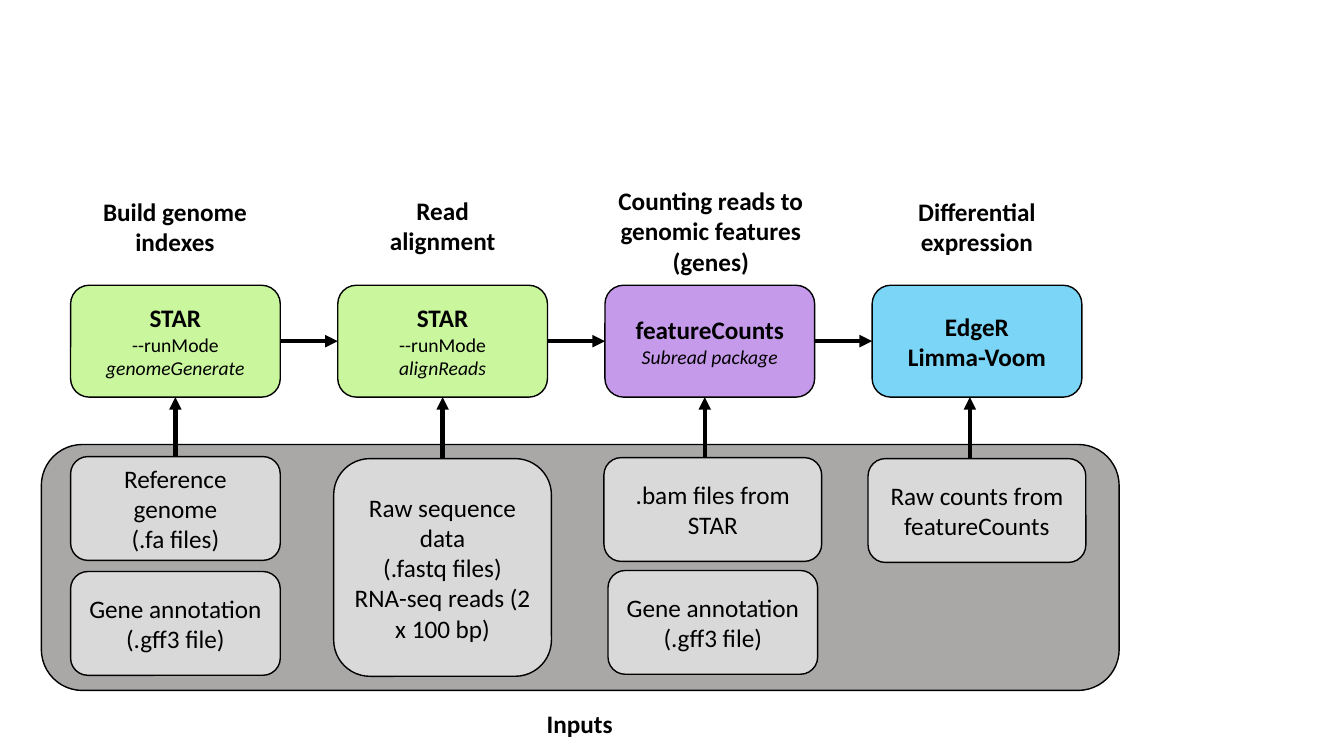
from pptx import Presentation
from pptx.dml.color import RGBColor
from pptx.enum.shapes import MSO_CONNECTOR, MSO_SHAPE
from pptx.enum.text import MSO_ANCHOR, PP_ALIGN
from pptx.oxml.ns import qn
from pptx.util import Inches, Pt
from lxml import etree

ROUNDED, STRAIGHT = MSO_SHAPE.ROUNDED_RECTANGLE, MSO_CONNECTOR.STRAIGHT
CENTER, MIDDLE, TOP = PP_ALIGN.CENTER, MSO_ANCHOR.MIDDLE, MSO_ANCHOR.TOP
SIDE_TOP, SIDE_LEFT, SIDE_BOTTOM, SIDE_RIGHT = range(4)

# Content: a paragraph is a list of (text, style) spans
ANNOTATION = [[("Gene annotation", "body")], [("(.gff3 file)", "body")]]
STAGES = [
    {"heading": "Build genome indexes", "heading_at": (0.69, 1.9, 2.09, 1.01),
     "tool": [[("STAR", "strong")],
              [("--runMode ", "small"), ("genomeGenerate", "small_italic")]],
     "color": "align", "arrow_x": 1.74,
     "inputs": [((0.7, 4.53, 2.08, 1.03),
                 [[("Reference genome", "body")], [("(.fa files)", "body")]]),
                ((0.7, 5.67, 2.08, 1.03), ANNOTATION)]},
    {"heading": "Read alignment", "heading_at": (3.52, 1.89, 1.74, 1.01),
     "tool": [[("STAR", "strong")], [("--runMode", "small")],
              [("alignReads", "small_italic")]],
     "color": "align", "arrow_x": 4.39,
     "inputs": [((3.31, 4.55, 2.16, 2.16),
                 [[("Raw sequence data", "body")], [("(.fastq files)", "body")],
                  [("RNA-seq reads (2 x 100 bp)", "body")]])]},
    {"heading": "Counting reads to genomic features (genes)",
     "heading_at": (5.98, 1.79, 2.14, 1.31),
     "tool": [[("featureCounts", "strong")], [("Subread package", "small_italic")]],
     "color": "count", "arrow_x": 6.99,
     "inputs": [((5.99, 4.54, 2.16, 1.03), [[(".bam files from STAR", "body")]]),
                ((6.03, 5.66, 2.08, 1.03), ANNOTATION)]},
    {"heading": "Differential expression", "heading_at": (8.62, 1.9, 2.14, 1.01),
     "tool": [[("EdgeR", "strong")], [("Limma-Voom", "strong")]],
     "color": "express", "arrow_x": 9.62,
     "inputs": [((8.61, 4.55, 2.16, 1.03),
                 [[("Raw counts from featureCounts", "body")]])]},
]

# Theme: colours are (hex, opacity in percent), styles are (size, bold, italic)
THEME = {
    "font": "Calibri", "ink": RGBColor(0, 0, 0), "outline": Pt(1), "arrow": Pt(3),
    "panel": ("767171", 62), "input": ("D9D9D9", 100), "align": ("ADF366", 64),
    "count": ("933ED7", 52), "express": ("00B0F0", 52),
    "body": (18, False, False), "strong": (18, True, False),
    "small": (14, False, False), "small_italic": (14, False, True),
}

# Layout
PANEL_AT = (0.41, 4.41, 10.69, 2.44)
CAPTION_AT = (5.32, 6.98, 0.86, 0.4)
TOOL_LEFT, TOOL_PITCH, TOOL_TOP, TOOL_WIDTH, TOOL_HEIGHT = 0.7, 2.65, 2.83, 2.08, 1.11
JOIN_TOLERANCE = Inches(0.02)


def write(shape, paragraphs, anchor):
    frame = shape.text_frame
    frame.word_wrap = True
    frame.vertical_anchor = anchor
    for index, spans in enumerate(paragraphs):
        para = frame.add_paragraph() if index else frame.paragraphs[0]
        para.alignment = CENTER
        for text, style in spans:
            span = para.add_run()
            span.text = text
            size, span.font.bold, span.font.italic = THEME[style]
            span.font.size = Pt(size)
            span.font.name = THEME["font"]
            span.font.color.rgb = THEME["ink"]


def add_box(page, at, color, paragraphs=()):
    box = page.shapes.add_shape(ROUNDED, *map(Inches, at))
    box.shadow.inherit = False
    hex_color, opacity = THEME[color]
    box.fill.solid()
    box.fill.fore_color.rgb = RGBColor.from_string(hex_color)
    if opacity < 100:
        color_node = box.fill._xPr.find(qn("a:solidFill"))[0]
        etree.SubElement(color_node, qn("a:alpha"), val=str(opacity * 1000))
    box.line.color.rgb = THEME["ink"]
    box.line.width = THEME["outline"]
    write(box, paragraphs, MIDDLE)
    return box


def add_label(page, at, text):
    label = page.shapes.add_textbox(*map(Inches, at))
    write(label, [[(text, "strong")]], TOP)
    return label


def add_arrow(page, start, end):
    arrow = page.shapes.add_connector(STRAIGHT, *start, *end)
    arrow.line.color.rgb = THEME["ink"]
    arrow.line.width = THEME["arrow"]
    etree.SubElement(arrow.line._get_or_add_ln(), qn("a:tailEnd"), type="triangle")
    etree.SubElement(arrow._element.spPr, qn("a:effectLst"))
    return arrow


def main():
    deck = Presentation()
    deck.slide_width, deck.slide_height = Inches(13.33), Inches(7.5)
    page = deck.slides.add_slide(deck.slide_layouts[6])

    # Panel behind the inputs
    add_box(page, PANEL_AT, "panel")
    add_label(page, CAPTION_AT, "Inputs").text_frame.word_wrap = False

    previous = None
    for column, stage in enumerate(STAGES):
        # Heading, tool and inputs of one stage
        add_label(page, stage["heading_at"], stage["heading"])
        tool_at = (TOOL_LEFT + column * TOOL_PITCH, TOOL_TOP, TOOL_WIDTH, TOOL_HEIGHT)
        tool = add_box(page, tool_at, stage["color"], stage["tool"])
        inputs = [add_box(page, at, "input", text) for at, text in stage["inputs"]]

        # Arrow up from the first input, joined where it meets a side's middle
        x = Inches(stage["arrow_x"])
        rise = add_arrow(page, (x, inputs[0].top), (x, tool.top + tool.height))
        if abs(x - tool.left - tool.width // 2) < JOIN_TOLERANCE:
            rise.begin_connect(inputs[0], SIDE_TOP)
            rise.end_connect(tool, SIDE_BOTTOM)

        # Arrow from the previous tool
        if previous is not None:
            middle = tool.top + tool.height // 2
            step = add_arrow(page, (previous.left + previous.width, middle),
                             (tool.left, middle))
            step.begin_connect(previous, SIDE_RIGHT)
            step.end_connect(tool, SIDE_LEFT)
        previous = tool

    deck.save("out.pptx")


if __name__ == "__main__":
    main()
